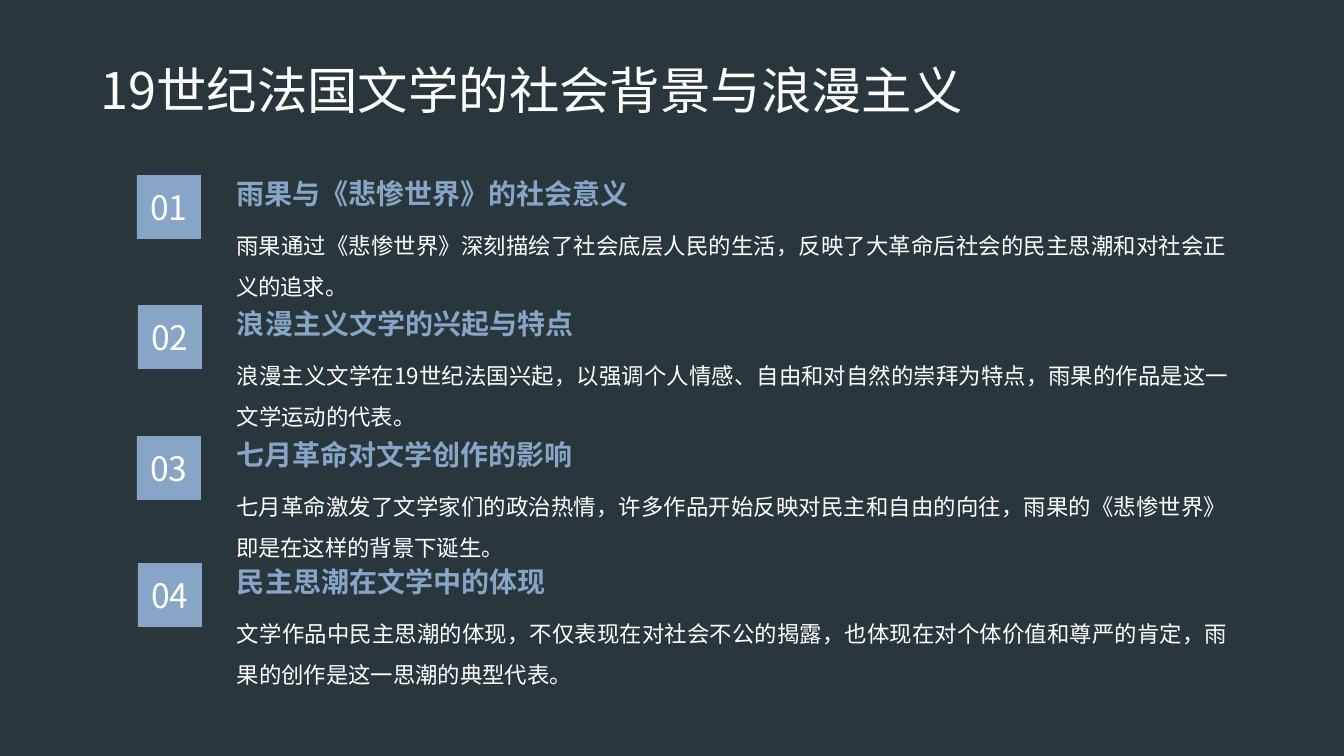
from lxml import etree
from pptx import Presentation
from pptx.dml.color import RGBColor
from pptx.enum.shapes import MSO_SHAPE
from pptx.enum.text import MSO_ANCHOR, MSO_AUTO_SIZE, PP_ALIGN
from pptx.oxml.ns import qn
from pptx.util import Emu, Pt

BACKGROUND = RGBColor(0x29, 0x36, 0x3B)
ACCENT = RGBColor(0x87, 0xA5, 0xC7)
WHITE = RGBColor(0xFF, 0xFF, 0xFF)

TITLE = "19世纪法国文学的社会背景与浪漫主义"
# Top of the section, its heading and its text
SECTIONS = [
    (175, "雨果与《悲惨世界》的社会意义",
     "雨果通过《悲惨世界》深刻描绘了社会底层人民的生活，反映了大革命后社会的民主思潮和对社会正义的追求。"),
    (305, "浪漫主义文学的兴起与特点",
     "浪漫主义文学在19世纪法国兴起，以强调个人情感、自由和对自然的崇拜为特点，雨果的作品是这一文学运动的代表。"),
    (436, "七月革命对文学创作的影响",
     "七月革命激发了文学家们的政治热情，许多作品开始反映对民主和自由的向往，雨果的《悲惨世界》即是在这样的背景下诞生。"),
    (563, "民主思潮在文学中的体现",
     "文学作品中民主思潮的体现，不仅表现在对社会不公的揭露，也体现在对个体价值和尊严的肯定，雨果的创作是这一思潮的典型代表。"),
]


def px(length):
    return Emu(round(length * 914400 / 100.8))


class SlideBuilder:
    font_name = "Noto Sans CJK SC"

    def __init__(self, deck):
        self.page = deck.slides.add_slide(deck.slide_layouts[5])
        fill = self.page.background.fill
        fill.solid()
        fill.fore_color.rgb = BACKGROUND

    def set_text(self, box, text, size, color=WHITE, align=PP_ALIGN.JUSTIFY,
                 anchor=MSO_ANCHOR.MIDDLE, bold=False, spacing=1.0):
        frame = box.text_frame
        frame.word_wrap = True
        frame.auto_size = MSO_AUTO_SIZE.NONE
        frame.vertical_anchor = anchor
        frame.margin_left = frame.margin_right = 0
        frame.margin_top = frame.margin_bottom = 0
        para = frame.paragraphs[0]
        para.text = text
        para.alignment = align
        para.line_spacing = spacing
        font = para.font
        font.size = Pt(size)
        font.bold = bold
        font.color.rgb = color
        font.name = self.font_name
        # Chinese characters take the East Asian typeface
        defaults = para._p.pPr.find(qn("a:defRPr"))
        etree.SubElement(defaults, qn("a:ea")).set("typeface", self.font_name)

    def title(self, text, left, top, width, height):
        box = self.page.shapes.title
        box.left, box.top = px(left), px(top)
        box.width, box.height = px(width), px(height)
        self.set_text(box, text, 36, align=PP_ALIGN.CENTER, anchor=MSO_ANCHOR.BOTTOM)

    def text(self, text, left, top, width, height, size, **style):
        box = self.page.shapes.add_textbox(px(left), px(top), px(width), px(height))
        self.set_text(box, text, size, **style)

    def badge(self, text, left, top, side):
        box = self.page.shapes.add_shape(
            MSO_SHAPE.RECTANGLE, px(left), px(top), px(side), px(side))
        box.shadow.inherit = False
        box.fill.solid()
        box.fill.fore_color.rgb = ACCENT
        box.line.fill.background()
        self.set_text(box, text, 24, align=PP_ALIGN.CENTER)


def main():
    deck = Presentation()
    deck.slide_width, deck.slide_height = px(1344), px(756)
    builder = SlideBuilder(deck)

    # Title
    builder.title(TITLE, 52, 48, 959, 72)

    # Numbered sections; even ones sit one pixel to the right
    for index, (top, heading, body) in enumerate(SECTIONS):
        shift = index % 2
        builder.text(body, 236 + shift, top + 44, 992, 71, 16,
                     anchor=MSO_ANCHOR.TOP, spacing=1.5)
        builder.text(heading, 236 + shift, top - 7, 992, 51, 20,
                     color=ACCENT, bold=True)
        builder.badge(f"{index + 1:02d}", 137 + shift, top, 64)

    deck.save("out.pptx")


if __name__ == "__main__":
    main()
